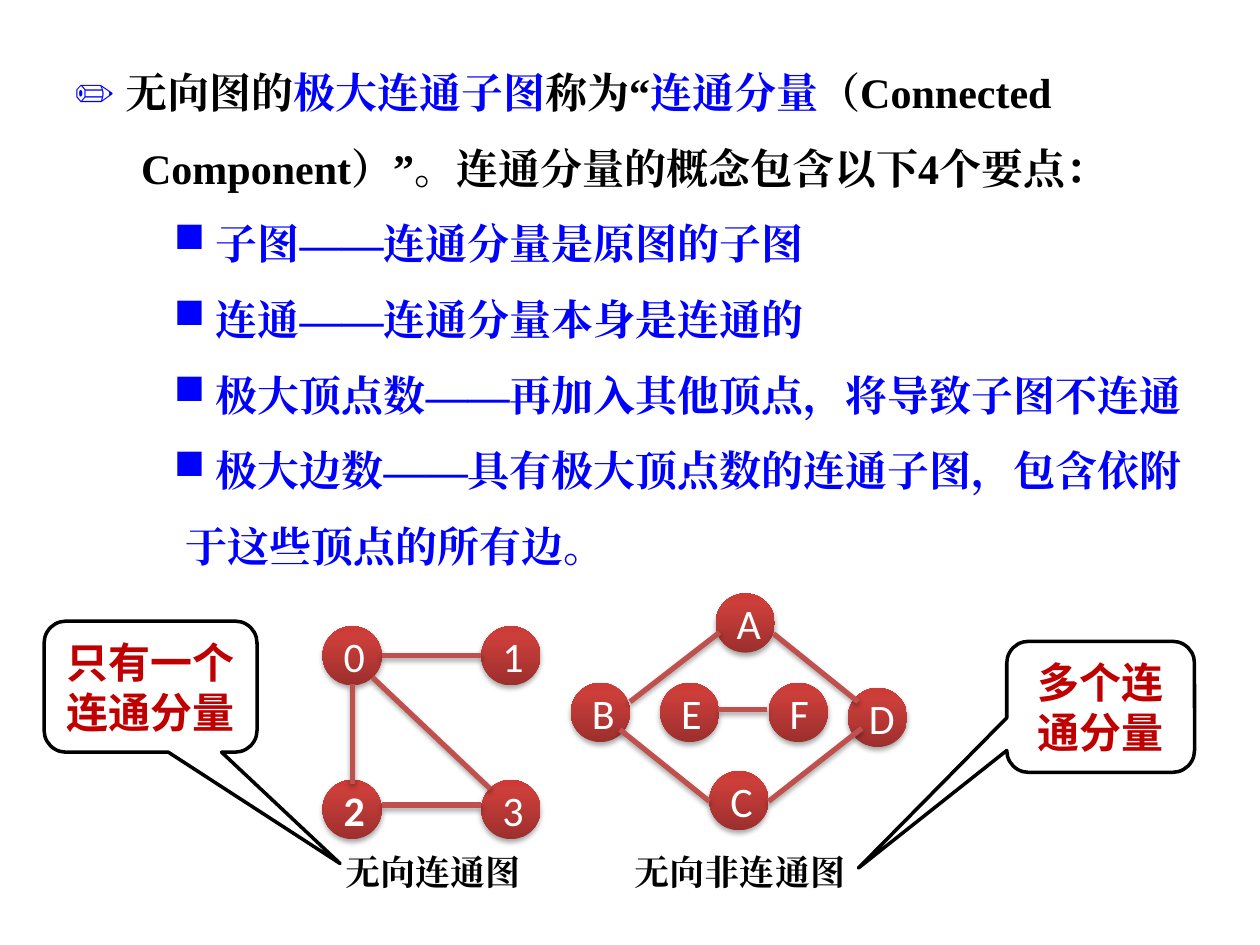
from pptx import Presentation
from pptx.dml.color import RGBColor
from pptx.enum.lang import MSO_LANGUAGE_ID
from pptx.enum.shapes import MSO_CONNECTOR, MSO_SHAPE
from pptx.enum.text import MSO_ANCHOR, PP_ALIGN
from pptx.oxml import parse_xml
from pptx.oxml.ns import nsdecls, qn
from pptx.util import Inches, Pt

CENTER, LEFT = PP_ALIGN.CENTER, PP_ALIGN.LEFT
MIDDLE = MSO_ANCHOR.MIDDLE
STRAIGHT = MSO_CONNECTOR.STRAIGHT
OVAL, CALLOUT = MSO_SHAPE.OVAL, MSO_SHAPE.ROUNDED_RECTANGULAR_CALLOUT
CHINESE = MSO_LANGUAGE_ID.SIMPLIFIED_CHINESE
SERIF, SANS, HEI = "Times New Roman", "Calibri", "Noto Sans CJK SC"
COLORS = {
    "black": "000000", "white": "FFFFFF", "blue": "0000FF",
    "crimson": "C00000", "edge": "C0504D",
    "node_dark": "9C2F2D", "node_mid": "CB3E3A", "node_light": "CE3B37",
}

deck = Presentation()
deck.slide_width, deck.slide_height = Inches(10), Inches(7.5)
slide = deck.slides.add_slide(deck.slide_layouts[6])
COLUMN, ROW = deck.slide_width / 100, deck.slide_height / 75
NODE = 4.7

SHADOW = (
    f'<a:effectLst {nsdecls("a")}><a:outerShdw blurRad="{Pt(3.1)}" dist="{Pt(1.8)}" '
    f'dir="5400000" rotWithShape="0"><a:srgbClr val="{COLORS["black"]}">'
    '<a:alpha val="35000"/></a:srgbClr></a:outerShdw></a:effectLst>'
)
STOPS = "".join(
    f'<a:gs pos="{share * 1000}"><a:srgbClr val="{COLORS[name]}"/></a:gs>'
    for share, name in [(0, "node_dark"), (80, "node_mid"), (100, "node_light")]
)
GRADIENT = (
    f'<a:gradFill {nsdecls("a")} rotWithShape="1"><a:gsLst>{STOPS}</a:gsLst>'
    '<a:lin ang="16200000" scaled="0"/></a:gradFill>'
)


def grid(*cells):
    return [round(cell * (ROW if i % 2 else COLUMN)) for i, cell in enumerate(cells)]


def write_text(para, text, font=SERIF, size=24, color="black", bold=False, align=LEFT):
    para.alignment = align
    span = para.add_run()
    span.text = text
    span.font.name = font
    span.font.size = Pt(size)
    span.font.bold = bold
    span.font.color.rgb = RGBColor.from_string(COLORS[color])
    span.font.language_id = CHINESE
    east_asian = span.font._element.makeelement(qn("a:ea"), {"typeface": font})
    span.font._element.find(qn("a:latin")).addnext(east_asian)


body = slide.shapes.add_textbox(*grid(5.9, 2.8, 89.8, 43.4))
frame = body.text_frame
frame.word_wrap = True
frame.margin_left = frame.margin_right = 0
para = frame.paragraphs[0]
para.line_spacing = 1.5
properties = para._p.get_or_add_pPr()
properties.set("marL", str(Inches(0.53)))
properties.set("indent", str(Inches(-0.53)))
for text, color in [
    ("✏ ", "blue"),
    ("无向图的", "black"),
    ("极大连通子图", "blue"),
    ("称为“", "black"),
    ("连通分量", "blue"),
    ("（Connected Component）”。连通分量的概念包含以下4个要点：", "black"),
]:
    write_text(para, text, color=color, bold=True)

for text in [
    "子图——连通分量是原图的子图",
    "连通——连通分量本身是连通的",
    "极大顶点数——再加入其他顶点，将导致子图不连通",
    "极大边数——具有极大顶点数的连通子图，包含依附于这些顶点的所有边。",
]:
    para = frame.add_paragraph()
    para.level = 1
    para.line_spacing = 1.5
    properties = para._p.get_or_add_pPr()
    properties.set("marL", str(Inches(0.88)))
    properties.set("indent", str(Inches(-0.09)))
    properties.append(parse_xml(f'<a:buChar {nsdecls("a")} char="■"/>'))
    write_text(para, " " + text, color="blue", bold=True)

graphs = [
    {
        "nodes": {"A": (56.8, 47.1), "B": (45.3, 54.2), "D": (67.3, 54.6),
                  "C": (56.3, 61.2), "E": (52.4, 54.2), "F": (61, 54.2)},
        "edges": [(57.1, 50.2, 50, 55.7), (61.4, 50.3, 68.1, 55.7),
                  (56.3, 63.6, 49.2, 57.9), (68.4, 57.8, 61, 63.6),
                  (60.9, 56.3, 57, 56.3)],
        "caption": "无向非连通图", "place": (49.4, 67, 19, 4.4),
    },
    {
        "nodes": {"0": (25.6, 49.7), "2": (25.6, 61.9),
                  "1": (38.2, 49.7), "3": (38.2, 61.9)},
        "edges": [(28, 54.3, 28, 62.2), (29.6, 53.8, 38.9, 62.6),
                  (38.2, 52, 30.3, 52), (38.2, 63.9, 30.3, 63.9)],
        "caption": "无向连通图", "place": (26.4, 67, 16.1, 4.4),
    },
]
for graph in graphs:
    group = slide.shapes.add_group_shape()
    for label, corner in graph["nodes"].items():
        node = group.shapes.add_shape(OVAL, *grid(*corner, NODE, NODE))
        node.line.fill.background()
        node.fill.background()
        outline = node._element.spPr
        outline.replace(outline.find(qn("a:noFill")), parse_xml(GRADIENT))
        outline.append(parse_xml(SHADOW))
        node.text_frame.vertical_anchor = MIDDLE
        write_text(node.text_frame.paragraphs[0], label, font=SANS, color="white",
                   bold=label == "2", align=CENTER)
    for ends in graph["edges"]:
        edge = group.shapes.add_connector(STRAIGHT, *grid(*ends))
        edge.line.color.rgb = RGBColor.from_string(COLORS["edge"])
        edge.line.width = Pt(3)
        edge._element.spPr.append(parse_xml(SHADOW))
    caption = slide.shapes.add_textbox(*grid(*graph["place"]))
    caption.text_frame.word_wrap = False
    write_text(caption.text_frame.paragraphs[0], graph["caption"], size=20, bold=True)

for text, place, tip in [
    ("只有一个连通分量", (3.5, 49.3, 16.9, 10.4), (0.89, 1.35)),
    ("多个连通分量", (79.9, 50.9, 14.9, 10.4), (-1.29, 1.23)),
]:
    callout = slide.shapes.add_shape(CALLOUT, *grid(*place))
    callout.shadow.inherit = False
    callout.adjustments[0], callout.adjustments[1] = tip
    callout.fill.solid()
    callout.fill.fore_color.rgb = RGBColor.from_string(COLORS["white"])
    callout.line.color.rgb = RGBColor.from_string(COLORS["black"])
    callout.line.width = Pt(2)
    callout.text_frame.vertical_anchor = MIDDLE
    write_text(callout.text_frame.paragraphs[0], text, font=HEI, color="crimson",
               bold=True, align=CENTER)

deck.save("out.pptx")
